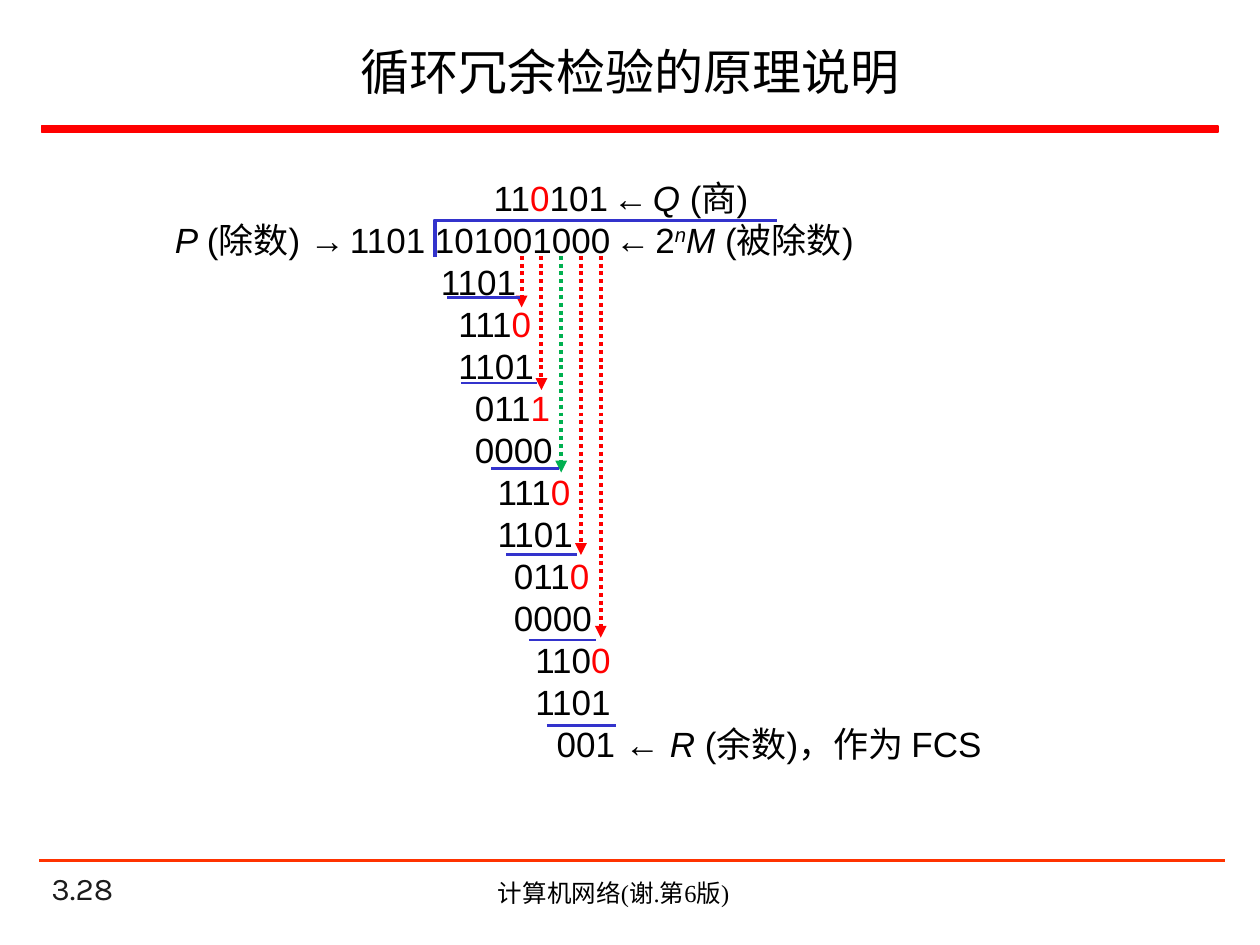
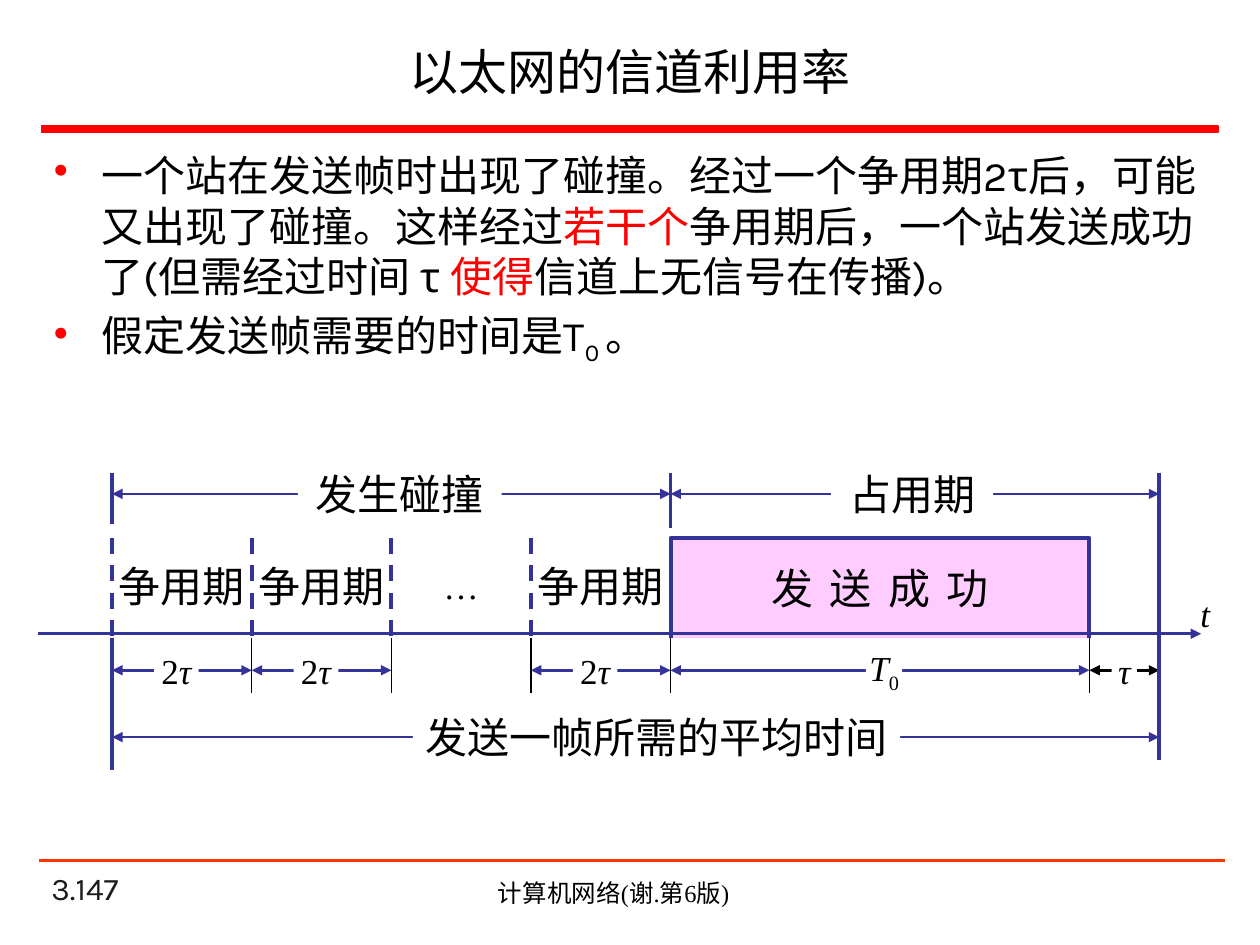
from dataclasses import dataclass

from lxml import etree
from pptx import Presentation
from pptx.dml.color import RGBColor
from pptx.enum.dml import MSO_LINE
from pptx.enum.shapes import MSO_CONNECTOR, MSO_SHAPE
from pptx.enum.text import MSO_ANCHOR, PP_ALIGN
from pptx.oxml.ns import qn
from pptx.util import Inches, Pt

COLORS = {
    "black": "000000", "white": "FFFFFF", "red": "FF0000", "green": "00B050",
    "footer_rule": "FF3300", "number": "1C1C1C", "division": "3333CC",
    "timeline": "333399", "success": "FFCCFF",
}
STRAIGHT = MSO_CONNECTOR.STRAIGHT
RECTANGLE = MSO_SHAPE.RECTANGLE
DASH, DOTS = MSO_LINE.DASH, MSO_LINE.ROUND_DOT
LEFT, CENTER = PP_ALIGN.LEFT, PP_ALIGN.CENTER
TOP, MIDDLE, BOTTOM = MSO_ANCHOR.TOP, MSO_ANCHOR.MIDDLE, MSO_ANCHOR.BOTTOM
TITLE_ONLY = 5
SANS, ARIAL, SERIF = "Karla", "Arial", "Times New Roman"
RED, ITALIC, SMALL = {"color": "red"}, {"italic": True}, {"size": 10}
SUBSCRIPT, SUPERSCRIPT = {"baseline": -25000}, {"baseline": 30000, "italic": True}


@dataclass
class Box:
    """An area with its own grid of columns and rows."""
    left: int
    top: int
    width: int
    height: int
    columns: float
    rows: float

    def size(self, columns, rows):
        """Turn grid counts into a width and a height."""
        return (round(columns * self.width / self.columns),
                round(rows * self.height / self.rows))

    def point(self, column, row):
        """Locate a grid point on the slide."""
        across, down = self.size(column, row)
        return self.left + across, self.top + down

    def area(self, column, row, columns, rows):
        """Locate a grid area as left, top, width and height."""
        return *self.point(column, row), *self.size(columns, rows)


SHEET = Box(0, 0, Inches(10), Inches(7.5), 100, 75)


def rgb(name):
    """Look up a named colour."""
    return RGBColor.from_string(COLORS[name])


def style_line(line, color, width, dash=None):
    """Set the colour, width and dash of a line."""
    line.color.rgb = rgb(color)
    line.width = Pt(width)
    if dash:
        line.dash_style = dash


def draw_line(page, start, end, color, width, dash=None, heads=()):
    """Draw a straight line with triangles at the ends named in heads."""
    connector = page.shapes.add_connector(STRAIGHT, *start, *end)
    style_line(connector.line, color, width, dash)
    outline = connector.line._get_or_add_ln()
    for head in heads:
        etree.SubElement(outline, qn(f"a:{head}"), type="triangle")
    etree.SubElement(connector._element.spPr, qn("a:effectLst"))


def draw_path(page, points, color, width, fill=None):
    """Draw an open outline through the points."""
    builder = page.shapes.build_freeform(*points[0], scale=1)
    builder.add_line_segments(points[1:], close=False)
    outline = builder.convert_to_shape()
    outline.shadow.inherit = False
    style_line(outline.line, color, width)
    if fill:
        outline.fill.solid()
        outline.fill.fore_color.rgb = rgb(fill)
    else:
        outline.fill.background()
    return outline


def write(para, spans, size, font, color="black", align=LEFT):
    """Fill a paragraph with styled spans of text."""
    para.alignment = align
    para.font.size, para.font.name = Pt(size), font
    para.font.color.rgb = rgb(color)
    for text, style in spans:
        span = para.add_run()
        span.text = text
        if "color" in style:
            span.font.color.rgb = rgb(style["color"])
        if "italic" in style:
            span.font.italic = True
        if "size" in style:
            span.font.size = Pt(style["size"])
        if "baseline" in style:
            span.font._element.set("baseline", str(style["baseline"]))


def indent(para, left, first=0):
    """Set the left margin and first-line indent of a paragraph."""
    properties = para._p.get_or_add_pPr()
    properties.set("marL", str(int(left)))
    properties.set("indent", str(int(first)))
    return properties


def add_text(page, area, spans, size, font, color="black", align=LEFT, anchor=TOP):
    """Add a wrapping text box with one paragraph."""
    box = page.shapes.add_textbox(*area)
    frame = box.text_frame
    frame.word_wrap = True
    frame.vertical_anchor = anchor
    write(frame.paragraphs[0], spans, size, font, color, align)
    return box


def add_label(page, box, center, row, width, height, spans, size=24, fill=None):
    """Add a tight label centred on a grid point, with a fill if asked."""
    area = box.area(center - width / 2, row - height / 2, width, height)
    label = add_text(page, area, spans, size, SERIF, align=CENTER, anchor=MIDDLE)
    frame = label.text_frame
    frame.margin_left = frame.margin_right = frame.margin_top = frame.margin_bottom = 0
    if fill:
        label.fill.solid()
        label.fill.fore_color.rgb = rgb(fill)


def add_page(deck, heading, number):
    """Add a slide with its title, band, footer rule and footer."""
    page = deck.slides.add_slide(deck.slide_layouts[TITLE_ONLY])
    title = page.shapes.title
    title.left, title.top, title.width, title.height = SHEET.area(3.6, 2.1, 92.8, 7.1)
    title.text_frame.vertical_anchor = MIDDLE
    write(title.text_frame.paragraphs[0], [(heading, {})], 28, SANS, align=CENTER)
    band = page.shapes.add_shape(RECTANGLE, *SHEET.area(3.3, 10, 93.4, 0.5))
    band.shadow.inherit = False
    band.fill.solid()
    band.fill.fore_color.rgb = rgb("red")
    style_line(band.line, "red", 1)
    draw_line(page, SHEET.point(3.1, 68.3), SHEET.point(97.2, 68.3), "footer_rule", 1.5)
    add_text(page, SHEET.area(3.1, 69.2, 20.8, 3.3), [(number, {})], 18, SANS,
             "number", anchor=BOTTOM)
    add_text(page, SHEET.area(28.3, 69.2, 40.8, 3.4), [("计算机网络(谢.第6版)", {})],
             14, SERIF, align=CENTER)
    return page


def division_rows():
    """List the indent and spans of each row of the long division."""
    gap = (" ", SMALL)
    rows = [
        (28.4, [("11", {}), ("0", RED), ("101", {}), gap, ("←", {}), gap,
                ("Q ", ITALIC), ("(商)", {})]),
        (3.1, [("P ", ITALIC), ("(除数) →", {}), gap, ("1101 101001000", {}), gap,
               ("←", {}), gap, ("2", {}), ("n", SUPERSCRIPT), ("M ", ITALIC),
               ("(被除数)", {})]),
        (24.2, [("1101", {})]),
    ]
    steps = [(25.6, "111", "0", "1101"), (26.9, "011", "1", "0000"),
             (28.7, "111", "0", "1101"), (30, "011", "0", "0000"),
             (31.7, "110", "0", "1101")]
    for column, remainder, brought_down, product in steps:
        rows.append((column, [(remainder, {}), (brought_down, RED)]))
        rows.append((column, [(product, {})]))
    rows.append((33.4, [("001 ← ", {}), ("R", ITALIC), (" (余数)，作为 FCS", {})]))
    return rows


def add_division(page, box):
    """Set out the long division with its rules and bring-down arrows."""
    area = box.area(0, 0, box.columns, box.rows)
    frame = page.shapes.add_textbox(*area).text_frame
    frame.word_wrap = True
    for index, (column, spans) in enumerate(division_rows()):
        para = frame.add_paragraph() if index else frame.paragraphs[0]
        write(para, spans, 20, ARIAL)
        para.line_spacing = Pt(24)
        indent(para, box.size(column, 0)[0])
    bracket = [box.point(24.7, 6.9), box.point(24.7, 4), box.point(51.9, 4)]
    draw_path(page, bracket, "division", 2.25)
    for index, color in enumerate(["red", "red", "green", "red", "red"]):
        column = 31.6 + 1.57 * index
        draw_line(page, box.point(column, 6.8), box.point(column, 10.9 + 6.55 * index),
                  color, 2.25, DOTS, ["tailEnd"])
    rules = [(25.7, 31.5), (26.8, 32.8), (29.2, 34.6), (30.4, 36), (32.2, 37.5),
             (33.6, 39.1)]
    for index, (start, end) in enumerate(rules):
        row = 10.1 + 6.8 * index
        draw_line(page, box.point(start, row), box.point(end, row), "division", 1.5)


def add_bullets(page, area):
    """Add the two bulleted statements."""
    items = [
        [("一个站在发送帧时出现了碰撞。经过一个争用期2τ后，可能又出现了碰撞。这样经过", {}),
         ("若干个", RED), ("争用期后，一个站发送成功了(但需经过时间 τ ", {}),
         ("使得", RED), ("信道上无信号在传播)。", {})],
        [("假定发送帧需要的时间是T", {}), ("0 ", SUBSCRIPT), ("。", {})],
    ]
    frame = page.shapes.add_textbox(*area).text_frame
    frame.word_wrap = True
    for index, spans in enumerate(items):
        para = frame.add_paragraph() if index else frame.paragraphs[0]
        para.space_before = Pt(4.8)
        write(para, spans, 24, SANS)
        properties = indent(para, Inches(0.38), -Inches(0.38))
        bullet_color = etree.Element(qn("a:buClr"))
        etree.SubElement(bullet_color, qn("a:srgbClr"), val=COLORS["red"])
        bullet = etree.Element(qn("a:buChar"), char="•")
        defaults = properties.find(qn("a:defRPr"))
        defaults.addprevious(bullet_color)
        defaults.addprevious(bullet)


def add_timeline(page, box):
    """Draw the channel timeline; one column is one contention period."""
    contention, success_end, end = 4, 7, 7.5
    base, axis, dimension_row = 13.1, 12.8, 15.7
    two_tau = [("2", {}), ("τ", ITALIC)]
    dimensions = [
        (0, end, 21, 3.9, 3.49, [("发送一帧所需的平均时间", {})], 24),
        (0, contention, 1.7, 2.06, 1.46, [("发生碰撞", {})], 24),
        (contention, end, 1.7, 5.73, 1.16, [("占用期", {})], 24),
        (contention, success_end, dimension_row, 5.53, 0.26,
         [("T", ITALIC), ("0", SUBSCRIPT)], 20),
        (success_end, end, dimension_row, 7.25, 0.18, [("τ", ITALIC)], 20),
    ]
    dimensions += [(slot, slot + 1, dimension_row, slot + 0.46, 0.32, two_tau, 20)
                   for slot in (0, 1, 3)]
    for start, stop, row, center, width, spans, size in dimensions:
        color = "black" if start == success_end else "timeline"
        draw_line(page, box.point(start, row), box.point(stop, row), color, 1.5,
                  heads=["headEnd", "tailEnd"])
        height = 4.4 if size == 24 else 3.2
        add_label(page, box, center, row, width, height, spans, size, "white")

    corners = [(contention, base), (contention, 5.2), (success_end, 5.2),
               (success_end, base)]
    success = draw_path(page, [box.point(*corner) for corner in corners],
                        "timeline", 2.25, "success")
    success.text_frame.vertical_anchor = MIDDLE
    para = success.text_frame.paragraphs[0]
    write(para, [("发 送 成 功", {})], 24, SERIF, align=CENTER)
    para.runs[0].font._element.set("spc", "200")

    for slot, text in enumerate(["争用期", "争用期", "…", "争用期"]):
        add_label(page, box, slot + 0.5, 9, 1, 5, [(text, {})], 20 if text == "…" else 24)
        draw_line(page, box.point(slot, 5.2), box.point(slot, base), "timeline", 2.25, DASH)
    for column in (1, 2, 3, contention, success_end):
        draw_line(page, box.point(column, base), box.point(column, 17.5), "black", 0.75)
    for column, top, bottom in [(0, 0, 4.1), (0, base, 23.6), (contention, 0, 4.4),
                                (end, 0, 22.8)]:
        draw_line(page, box.point(column, top), box.point(column, bottom), "timeline", 2.25)
    draw_line(page, box.point(-0.53, axis), box.point(7.8, axis), "timeline", 1.5,
              heads=["tailEnd"])
    add_label(page, box, 7.83, 11.2, 0.2, 3.6, [("t", ITALIC)], 20)


def main():
    """Build and save the deck."""
    deck = Presentation()
    deck.slide_width, deck.slide_height = SHEET.width, SHEET.height
    page = add_page(deck, "循环冗余检验的原理说明", "3.28")
    add_division(page, Box(*SHEET.area(9.8, 13.5, 85.8, 47.7), 85.8, 47.7))
    page = add_page(deck, "以太网的信道利用率", "3.147")
    add_bullets(page, SHEET.area(3.3, 11.4, 93.1, 19.1))
    add_timeline(page, Box(*SHEET.area(8.9, 37.5, 83.1, 23.6), 7.5, 23.6))
    deck.save("out.pptx")


if __name__ == "__main__":
    main()
